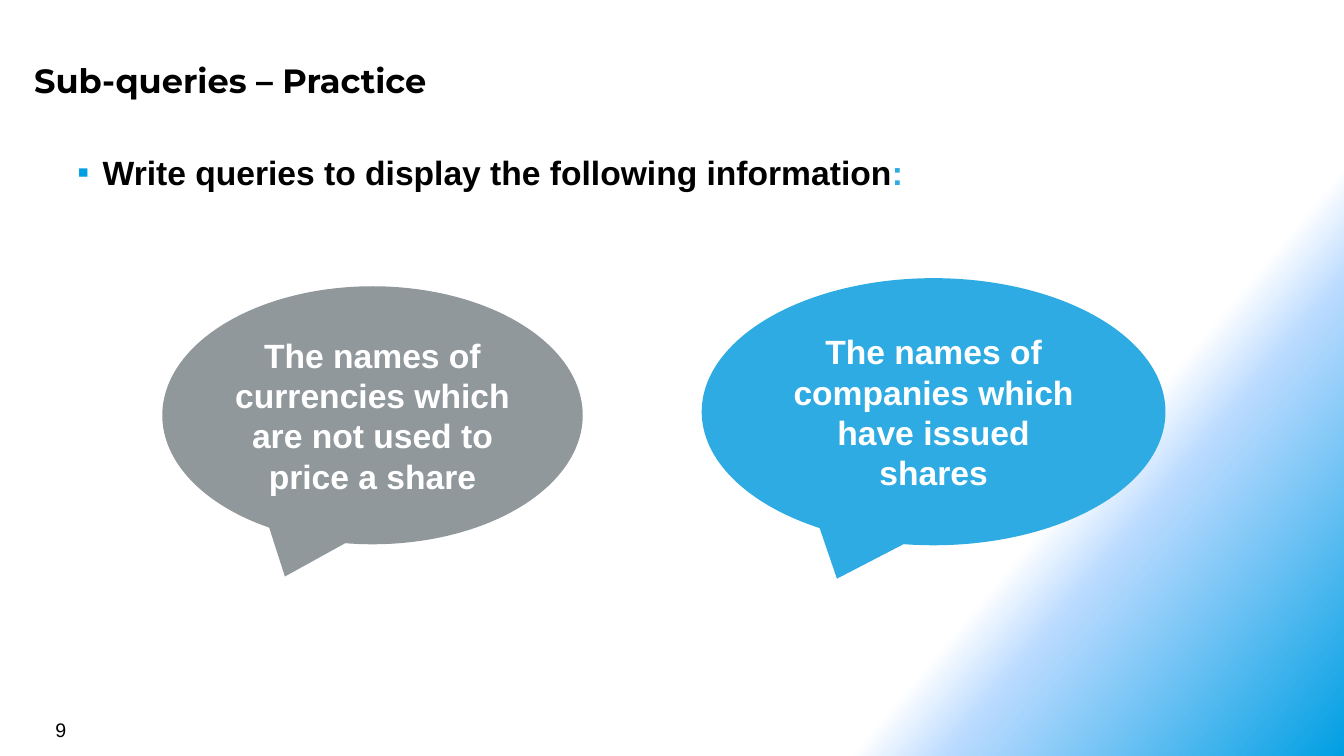
import pptx
import pptx.dml.color
import pptx.enum.shapes
import pptx.enum.text
import pptx.oxml
import pptx.oxml.ns
import pptx.util

Inches = pptx.util.Inches
Pt = pptx.util.Pt
RGBColor = pptx.dml.color.RGBColor
PP_ALIGN = pptx.enum.text.PP_ALIGN
ANCHOR = pptx.enum.text.MSO_ANCHOR
qn = pptx.oxml.ns.qn

BLACK = RGBColor(0x00, 0x00, 0x00)
WHITE = RGBColor(0xFF, 0xFF, 0xFF)
GREY = RGBColor(0x91, 0x98, 0x9C)
SKY = RGBColor(0x2E, 0xAB, 0xE2)
BLUE = RGBColor(0x00, 0x9F, 0xE3)
PALE = RGBColor(0xB9, 0xDA, 0xFF)

# position in percent, colour, opacity in percent
BACKGROUND_STOPS = [(75, WHITE, 100), (80, PALE, 50), (100, BLUE, 100)]
BACKGROUND_ANGLE = 40

BOLD_ARIAL = {"name": "Arial", "size": Pt(24), "bold": True}
TITLE_FONT = {"name": "Montserrat", "size": Pt(24), "bold": True}
NUMBER_FONT = {"name": "Arial", "size": Pt(14), "bold": False}

CALLOUTS = [
    ("The names of currencies which are not used to price a share",
     GREY, (1.61, 2.84, 4.17, 2.56)),
    ("The names of companies which have issued shares",
     SKY, (6.96, 2.76, 4.6, 2.65)),
]


def add_run(paragraph, text, font_format, color):
    run = paragraph.add_run()
    run.text = text
    for attribute, value in font_format.items():
        setattr(run.font, attribute, value)
    run.font.color.rgb = color


def add_text_frame(slide, box):
    """Add a wrapping text box and return its text frame."""
    frame = slide.shapes.add_textbox(*map(Inches, box)).text_frame
    frame.word_wrap = True
    return frame


def add_background(slide):
    fill = slide.background.fill
    fill.gradient()
    fill.gradient_angle = 360 - BACKGROUND_ANGLE
    stop_list = next(slide.element.iter(qn("a:gsLst")))
    for default_stop in list(stop_list):
        stop_list.remove(default_stop)
    for position, color, opacity in BACKGROUND_STOPS:
        stop = pptx.oxml.parse_xml(
            f'<a:gs {pptx.oxml.ns.nsdecls("a")} pos="{position * 1000}">'
            f'<a:srgbClr val="{color}"><a:alpha val="{opacity * 1000}"/>'
            '</a:srgbClr></a:gs>')
        stop_list.append(stop)


def add_title(slide, box):
    frame = add_text_frame(slide, box)
    for side in ("left", "top", "right", "bottom"):
        setattr(frame, f"margin_{side}", Inches(0.08))
    add_run(frame.paragraphs[0], "Sub-queries – Practice", TITLE_FONT, BLACK)


def add_instruction(slide, box):
    paragraph = add_text_frame(slide, box).paragraphs[0]
    paragraph.space_after = Pt(6)
    add_run(paragraph, "Write queries to display the following information",
            BOLD_ARIAL, BLACK)
    add_run(paragraph, ":", BOLD_ARIAL, SKY)

    properties = paragraph._p.get_or_add_pPr()
    properties.set("marL", str(Inches(0.25)))
    properties.set("indent", str(Inches(-0.25)))
    bullet_color = properties.makeelement(qn("a:buClr"), {})
    bullet_color.append(
        properties.makeelement(qn("a:srgbClr"), {"val": str(BLUE)}))
    properties.append(bullet_color)
    properties.append(
        properties.makeelement(qn("a:buFont"), {"typeface": "Arial"}))
    properties.append(properties.makeelement(qn("a:buChar"), {"char": "▪"}))


def add_callout(slide, question, color, box):
    callout = slide.shapes.add_shape(
        pptx.enum.shapes.MSO_SHAPE.OVAL_CALLOUT, *map(Inches, box))
    callout.shadow.inherit = False
    callout.fill.solid()
    callout.fill.fore_color.rgb = color
    callout.line.fill.background()
    frame = callout.text_frame
    frame.word_wrap = True
    frame.vertical_anchor = ANCHOR.MIDDLE
    paragraph = frame.paragraphs[0]
    paragraph.alignment = PP_ALIGN.CENTER
    add_run(paragraph, question, BOLD_ARIAL, WHITE)


def add_slide_number(slide, box):
    frame = add_text_frame(slide, box)
    add_run(frame.paragraphs[0], "9", NUMBER_FONT, BLACK)


def main():
    presentation = pptx.Presentation()
    presentation.slide_width = Inches(13.33)
    presentation.slide_height = Inches(7.5)
    slide = presentation.slides.add_slide(presentation.slide_layouts[6])
    add_background(slide)
    add_instruction(slide, (0.67, 1.46, 12, 4.95))
    for question, color, box in CALLOUTS:
        add_callout(slide, question, color, box)
    add_title(slide, (0.26, 0.51, 12.26, 0.55))
    add_slide_number(slide, (0.45, 7.07, 3.11, 0.33))
    presentation.save("out.pptx")


if __name__ == "__main__":
    main()
